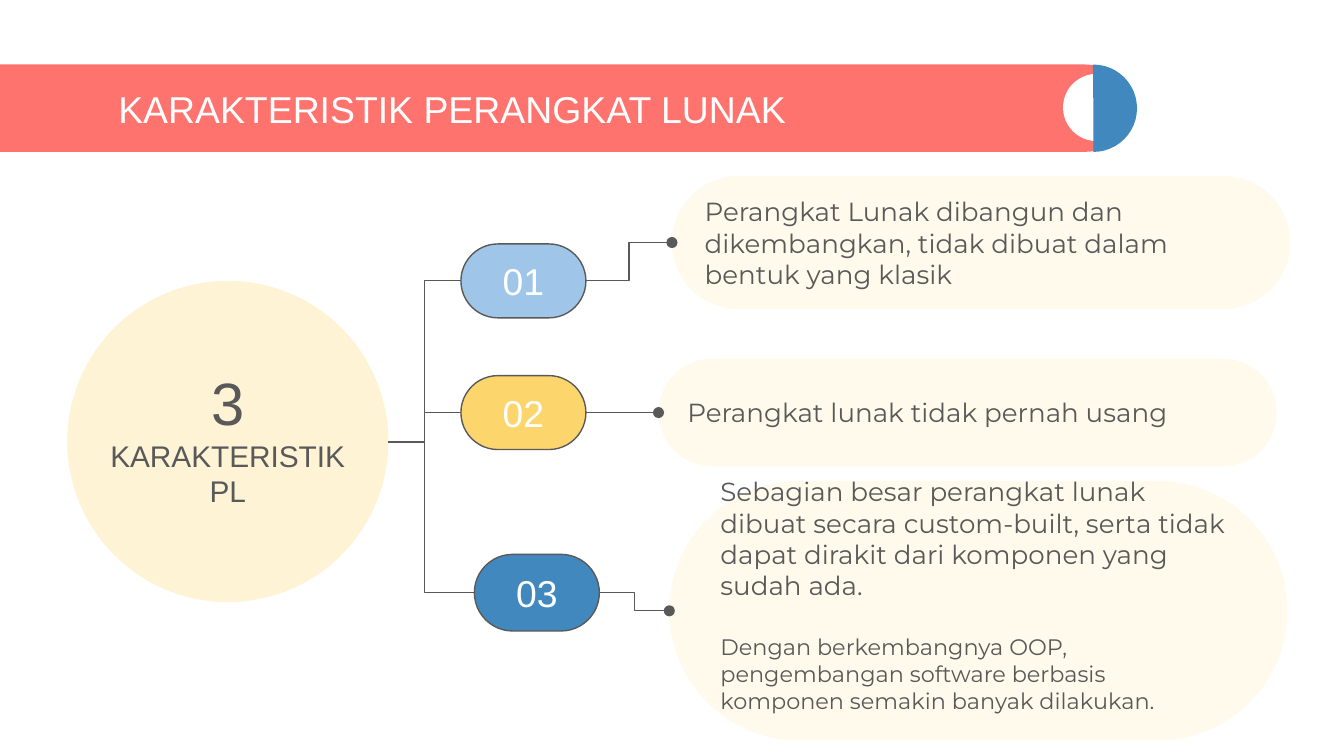
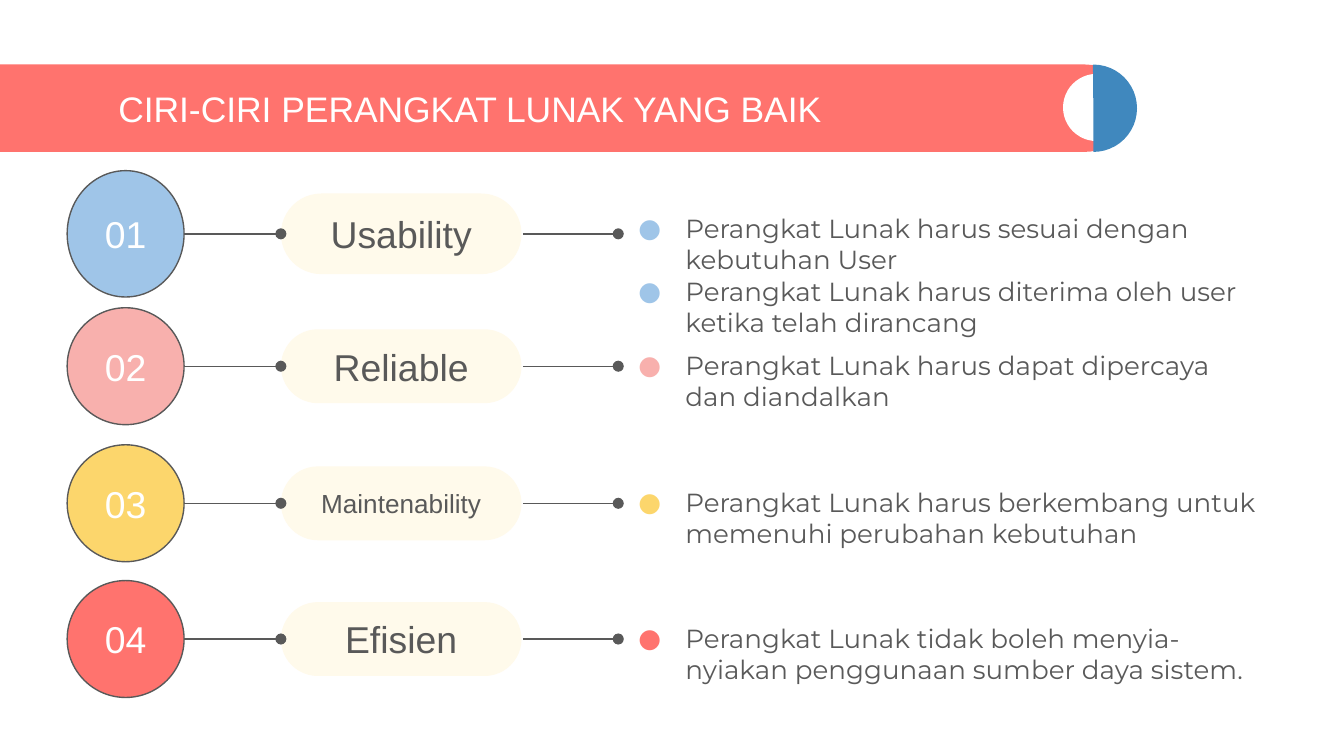
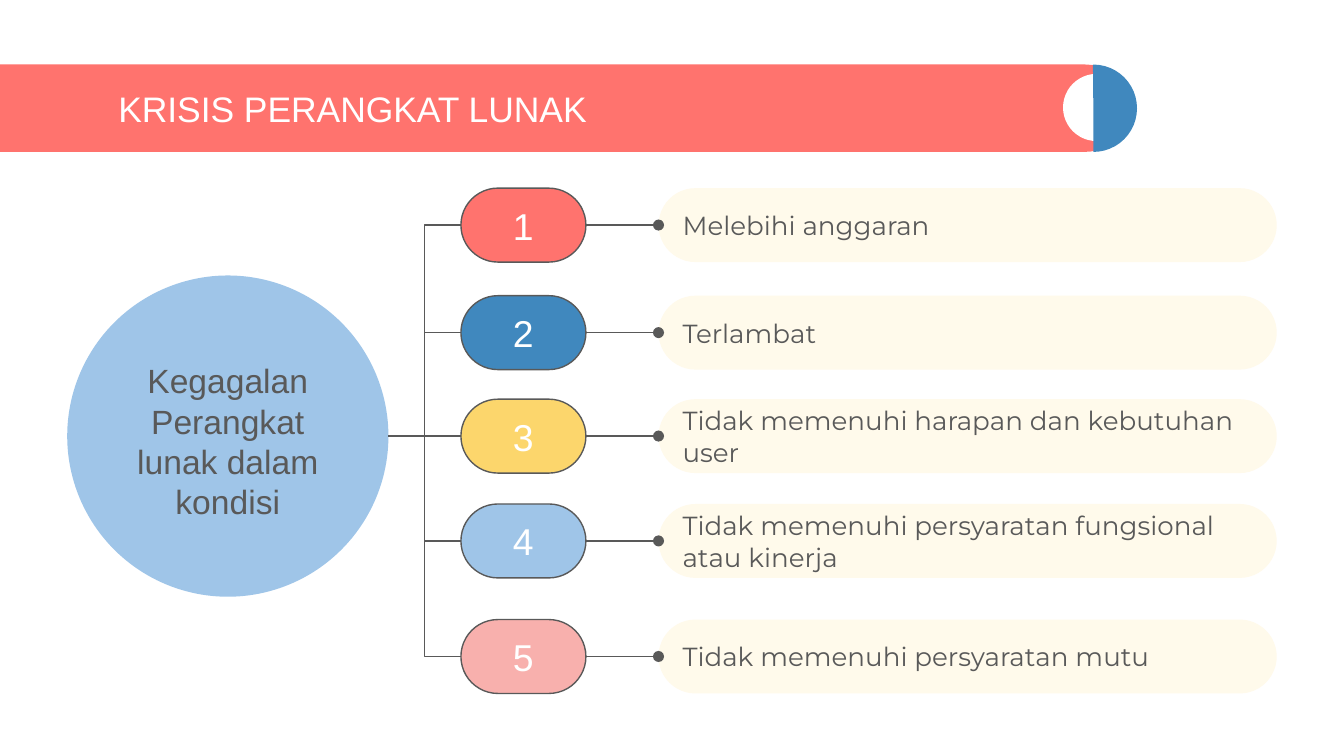
import pptx
import pptx.util
import pptx.dml.color
import pptx.enum.shapes
import pptx.enum.text
import pptx.oxml
import pptx.oxml.ns
import lxml.etree

Inches = pptx.util.Inches
Pt = pptx.util.Pt
RGB = pptx.dml.color.RGBColor
Kind = pptx.enum.shapes.MSO_SHAPE
Link = pptx.enum.shapes.MSO_CONNECTOR
Align = pptx.enum.text.PP_ALIGN
Anchor = pptx.enum.text.MSO_ANCHOR
qn = pptx.oxml.ns.qn

CORAL = RGB(0xFF, 0x73, 0x6E)
BLUE = RGB(0x40, 0x88, 0xBE)
SKY = RGB(0x9F, 0xC5, 0xE8)
PINK = RGB(0xF8, 0xB0, 0xAD)
GOLD = RGB(0xFC, 0xD6, 0x6C)
AMBER = RGB(0xFB, 0xBE, 0x18)
CREAM = RGB(0xFF, 0xFA, 0xEB)
GREY = RGB(0x59, 0x59, 0x59)
WHITE = RGB(0xFF, 0xFF, 0xFF)
HEAD = "Arial"
BODY = "Montserrat"


def node(up, tag, **attrs):
    return lxml.etree.SubElement(up, qn(tag), attrs)


def inset(frame, left=0.1, top=0.1, right=0.1, bottom=0.1):
    frame.word_wrap = True
    frame.margin_left, frame.margin_top = Inches(left), Inches(top)
    frame.margin_right, frame.margin_bottom = Inches(right), Inches(bottom)


def write(frame, lines, font, color, align):
    frame.text = "\n".join(text for text, size in lines)
    for para, (text, size) in zip(frame.paragraphs, lines):
        para.alignment = align
        for run in para.runs:
            run.font.name = font
            run.font.size = Pt(size)
            run.font.color.rgb = color


def draw(slide, kind, box, fill, edge=False):
    shape = slide.shapes.add_shape(kind, *map(Inches, box))
    shape.shadow.inherit = False
    shape.fill.solid()
    shape.fill.fore_color.rgb = fill
    if edge:
        shape.line.color.rgb = GREY
        shape.line.width = Pt(0.75)
    else:
        shape.line.fill.background()
    if kind == Kind.ROUNDED_RECTANGLE:
        shape.adjustments[0] = 0.5
    return shape


def label(shape, lines, font=HEAD, color=WHITE, align=Align.CENTER):
    frame = shape.text_frame
    inset(frame)
    frame.vertical_anchor = Anchor.MIDDLE
    write(frame, lines, font, color, align)
    return frame


def pill(slide, box, fill, edge=False):
    return draw(slide, Kind.ROUNDED_RECTANGLE, box, fill, edge)


def join(slide, start, end, kind=Link.ELBOW, dot=False, bend=None):
    line = slide.shapes.add_connector(kind, *map(Inches, start + end))
    line.line.color.rgb = GREY
    line.line.width = Pt(0.75)
    props = line.element.spPr
    if dot:
        node(props.find(qn("a:ln")), "a:tailEnd", type="oval")
    node(props, "a:effectLst")
    if bend is not None:
        guides = props.find(qn("a:prstGeom")).find(qn("a:avLst"))
        node(guides, "a:gd", name="adj1", fmla=f"val {round(bend * 100000)}")


def band(layout, slide, box):
    x, y, w, h = box
    bar = pill(slide, (x, y, w, h), CORAL)
    disc = draw(slide, Kind.OVAL, (x + w - 0.49, y + 0.07, 0.5, 0.5), WHITE)
    half = draw(slide, Kind.PIE, (x + w - 0.59, y, h, h), BLUE)
    half.rotation = 180
    half.adjustments[0] = 53.67
    half.adjustments[1] = 162
    for spot, shape in enumerate((bar, disc, half), 2):
        layout.shapes.element.insert(spot, shape.element)


def place(shape, box):
    shape.left, shape.top, shape.width, shape.height = map(Inches, box)


def theme(layout):
    for shape in list(layout.placeholders):
        if shape.placeholder_format.idx:
            shape.element.getparent().remove(shape.element)
            continue
        place(shape, (0.78, 0.6, 6.97, 0.41))
        inset(shape.text_frame)
        shape.text_frame.auto_size = pptx.enum.text.MSO_AUTO_SIZE.NONE
        shape.text_frame.vertical_anchor = Anchor.MIDDLE


def title(slide, text, size):
    write(slide.shapes.title.text_frame, [(text, size)], HEAD, WHITE, Align.LEFT)


def hub(slide, box, fill, lines, side=0, alpha=None):
    x, y, w, h = box
    disc = draw(slide, Kind.OVAL, box, fill)
    if alpha:
        tint = disc.element.spPr.find(qn("a:solidFill"))[0]
        node(tint, "a:alpha", val=str(alpha * 1000))
    text = slide.shapes.add_textbox(
        *map(Inches, (x + side, y + 0.53, w - 2 * side, 1.05)))
    inset(text.text_frame)
    write(text.text_frame, lines, HEAD, GREY, Align.CENTER)


def branch(slide, root, mid, fill, mark, lines, box, shift=0, tall=0.55):
    x, y = root
    left, wide, trunk = x + 0.54 + shift, 0.93, 0.27
    nx, ny, nw, nh = box
    note = pill(slide, box, CREAM)
    frame = label(note, lines, BODY, GREY, Align.LEFT)
    tag = pill(slide, (left, mid - tall / 2, wide, tall), fill, True)
    label(tag, [(mark, 20)])
    join(slide, root, (left, mid), bend=trunk / (left - x))
    join(slide, (left + wide, mid), (nx, ny + nh / 2), dot=True)
    return frame


def points(slide, box, fill, items):
    text = slide.shapes.add_textbox(*map(Inches, box))
    inset(text.text_frame, 0, 0.29, 0.1, 0.05)
    write(text.text_frame, [(item, 14) for item in items], BODY, GREY, Align.LEFT)
    for para in text.text_frame.paragraphs:
        props = para._p.get_or_add_pPr()
        props.set("marL", str(Inches(0.5)))
        props.set("indent", str(Inches(-0.35)))
        node(node(props, "a:buClr"), "a:srgbClr", val=str(fill))
        node(props, "a:buFont", typeface=BODY)
        node(props, "a:buChar", char="●")


def trait(slide, box, fill, mark, name, size, items, tall):
    x, y, w, h = box
    mid = y + h / 2
    disc = draw(slide, Kind.OVAL, (x, y, 0.87, h), fill, True)
    label(disc, [(mark, 20)])
    points(slide, (x + 4.1, y + 0.02, w - 4.1, h - 0.04), fill, items)
    tag = pill(slide, (x + 1.59, mid - tall / 2, 1.79, tall), CREAM)
    label(tag, [(name, size)], color=GREY)
    for start, end in ((0.87, 1.59), (3.39, 4.1)):
        join(slide, (x + start, mid), (x + end, mid), Link.STRAIGHT, True)


def nature(slide):
    title(slide, "KARAKTERISTIK PERANGKAT LUNAK", 20)
    hub(slide, (0.5, 2.09, 2.39, 2.39), AMBER,
        [("3", 32), ("KARAKTERISTIK", 16), ("PL", 16)], alpha=18)
    root = (2.89, 3.29)
    branch(slide, root, 2.09, SKY, "01",
           [("Perangkat Lunak dibangun dan dikembangkan, tidak dibuat dalam "
             "bentuk yang klasik", 14)], (5, 1.31, 4.6, 0.99))
    branch(slide, root, 3.07, GOLD, "02",
           [("Perangkat lunak tidak pernah usang", 14)], (4.9, 2.67, 4.6, 0.8))
    frame = branch(
        slide, root, 4.41, BLUE, "03",
        [("Sebagian besar perangkat lunak dibuat secara custom-built, serta "
          "tidak dapat dirakit dari komponen yang sudah ada.", 14),
         ("Dengan berkembangnya OOP, pengembangan software berbasis komponen "
          "semakin banyak dilakukan.", 12)],
        (4.98, 3.58, 4.6, 1.93), 0.1, 0.57)
    frame.paragraphs[1].space_before = Pt(17)
    inset(frame, right=0.14, bottom=0.34)


def traits(slide):
    title(slide, "CIRI-CIRI PERANGKAT LUNAK YANG BAIK", 19)
    rows = (
        (1.27, 0.94, 0.6, SKY, "Usability", 20,
         ["Perangkat Lunak harus sesuai dengan kebutuhan User",
          "Perangkat Lunak harus diterima oleh user ketika telah dirancang"]),
        (2.29, 0.87, 0.55, PINK, "Reliable", 20,
         ["Perangkat Lunak harus dapat dipercaya dan diandalkan"]),
        (3.31, 0.87, 0.55, GOLD, "Maintenability", 14,
         ["Perangkat Lunak harus berkembang untuk memenuhi perubahan kebutuhan"]),
        (4.32, 0.87, 0.55, CORAL, "Efisien", 20,
         ["Perangkat Lunak tidak boleh menyia-nyiakan penggunaan sumber daya "
          "sistem."]),
    )
    for count, (top, high, tall, fill, name, size, items) in enumerate(rows, 1):
        trait(slide, (0.5, top, 9, high), fill, f"{count:02}", name, size, items, tall)


def crisis(slide):
    title(slide, "KRISIS PERANGKAT LUNAK", 19)
    hub(slide, (0.5, 2.05, 2.39, 2.39), SKY,
        [("Kegagalan Perangkat lunak dalam kondisi", 18)], side=0.23)
    rows = (
        (1.4, CORAL, "Melebihi anggaran"),
        (2.2, BLUE, "Terlambat"),
        (2.97, GOLD, "Tidak memenuhi harapan dan kebutuhan user"),
        (3.75, SKY, "Tidak memenuhi persyaratan fungsional atau kinerja"),
        (4.61, PINK, "Tidak memenuhi persyaratan mutu"),
    )
    high = 0.55
    root = (2.89, rows[2][0] + high / 2)
    for count, (top, fill, text) in enumerate(rows, 1):
        branch(slide, root, top + high / 2, fill, str(count),
               [(text, 14)], (4.9, top, 4.6, high))


def main():
    deck = pptx.Presentation()
    deck.slide_width = Inches(10)
    deck.slide_height = deck.slide_width * 9 // 16
    layout = deck.slide_layouts[5]
    theme(layout)
    builds = (nature, traits, crisis)
    slides = [deck.slides.add_slide(layout) for build in builds]
    band(layout, slides[0], (-0.32, 0.48, 8.72, 0.65))
    for build, slide in zip(builds, slides):
        build(slide)
    deck.save("out.pptx")


if __name__ == "__main__":
    main()
